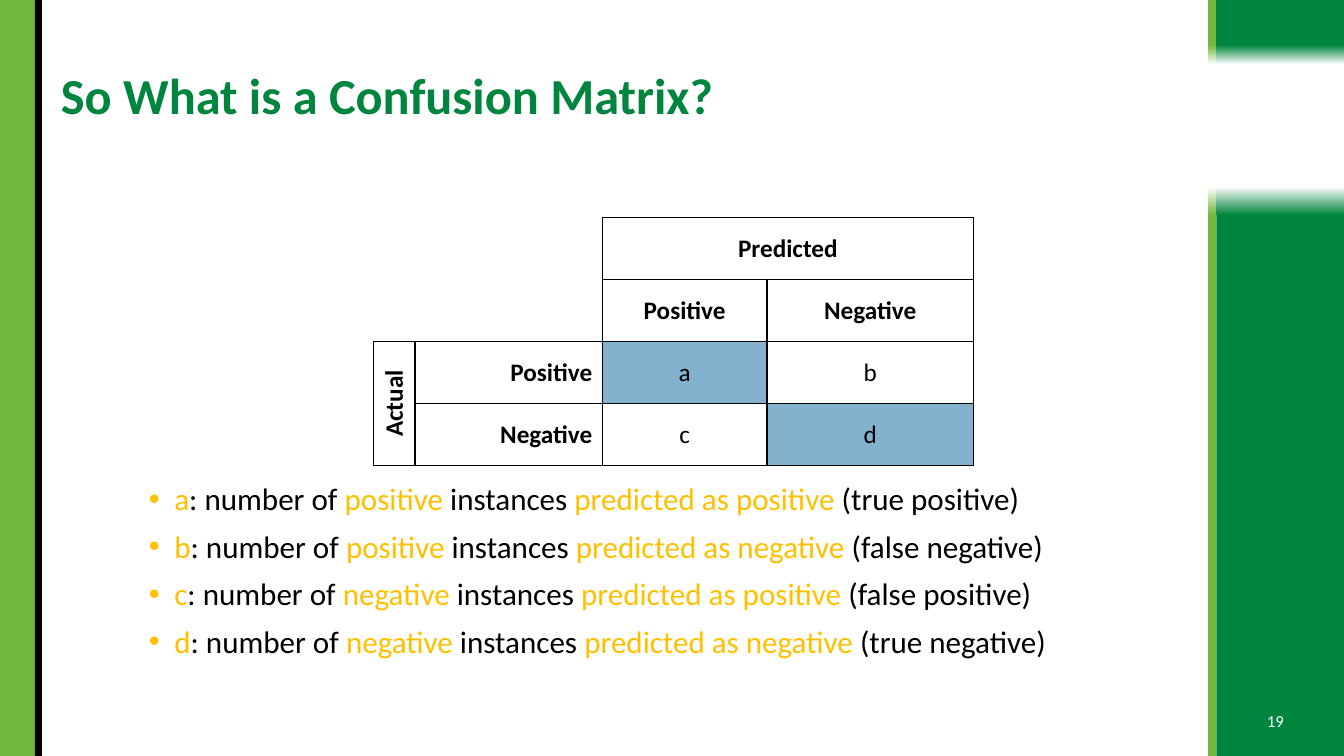
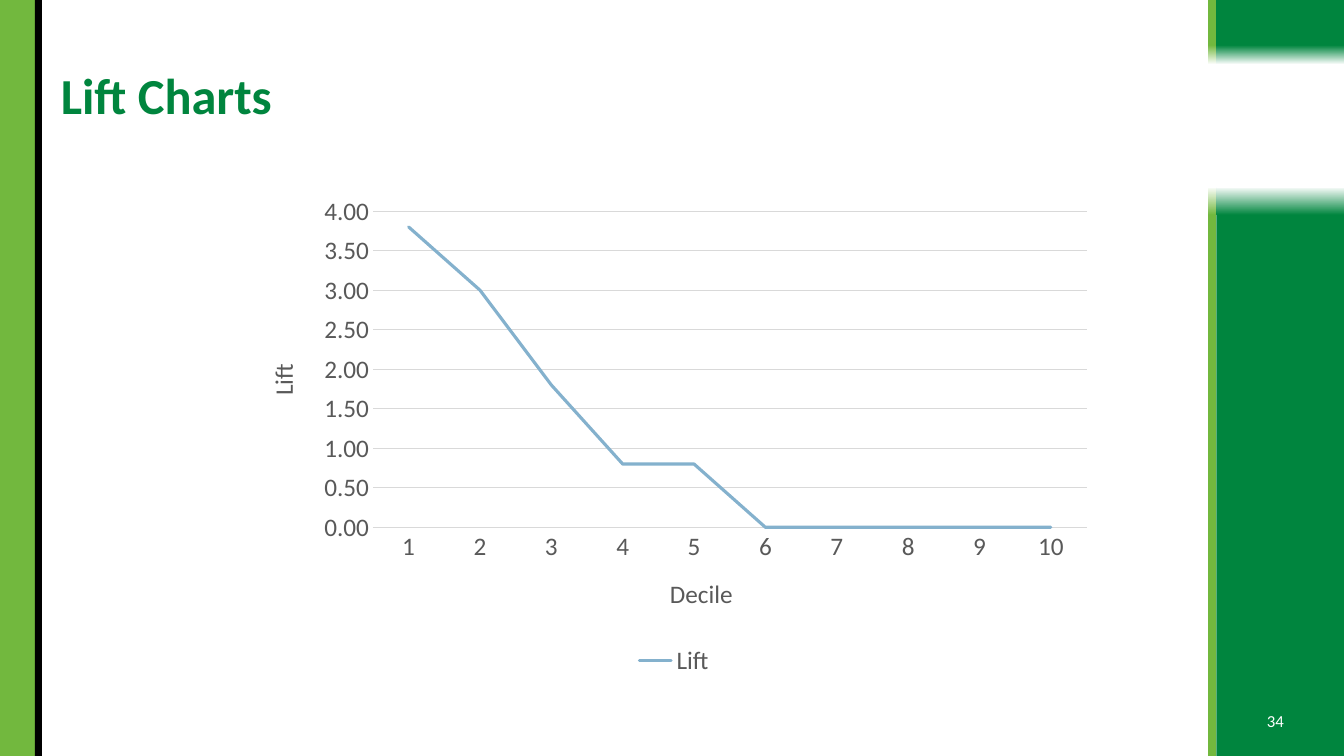
import pptx
import pptx.chart.data
import pptx.dml.color
import pptx.enum.chart
import pptx.enum.shapes
import pptx.enum.text
import pptx.oxml
import pptx.oxml.ns
import pptx.util
from pptx.util import Cm, Pt

COLORS = {
    "green": "00853E",
    "lime": "72B83E",
    "black": "000000",
    "white": "FFFFFF",
    "gold": "FFC000",
    "blue": "84B1CD",
    "grey": "595959",
    "grid": "D9D9D9",
}
FONT = "Calibri"
WIDTH, HEIGHT = 33.87, 19.05
ALIGN = pptx.enum.text.PP_ALIGN
MIDDLE = pptx.enum.text.MSO_ANCHOR.MIDDLE
TITLE_AND_CONTENT, TITLE_ONLY = 1, 5


def rgb(color):
    return pptx.dml.color.RGBColor.from_string(COLORS[color])


def assign(target, values):
    for attribute, value in values.items():
        setattr(target, attribute, value)


def style_font(font, size, color, bold=False):
    assign(font, {"name": FONT, "size": Pt(size), "bold": bold})
    font.color.rgb = rgb(color)


def move(shape, left, top, width, height):
    assign(shape, {"left": Cm(left), "top": Cm(top),
                   "width": Cm(width), "height": Cm(height)})


def set_border(cell, side, visible):
    """Draw or hide one side (L, R, T or B) of a table cell."""
    paint = (f'<a:solidFill><a:srgbClr val="{COLORS["black"]}"/></a:solidFill>'
             if visible else "<a:noFill/>")
    cell._tc.get_or_add_tcPr().append(pptx.oxml.parse_xml(
        f'<a:ln{side} {pptx.oxml.ns.nsdecls("a")} w="{Pt(1)}">{paint}</a:ln{side}>'))


def set_layout(element, index, target="", **fractions):
    """Place a chart part by fractions of the chart's size."""
    for previous in element.findall(pptx.oxml.ns.qn("c:layout")):
        element.remove(previous)
    inner = f'<c:layoutTarget val="{target}"/>' if target else ""
    modes = "".join(f'<c:{key}Mode val="edge"/>' for key in "xy")
    sizes = "".join(f'<c:{key} val="{value}"/>' for key, value in fractions.items())
    element.insert(index, pptx.oxml.parse_xml(
        f'<c:layout {pptx.oxml.ns.nsdecls("c")}><c:manualLayout>'
        f'{inner}{modes}{sizes}</c:manualLayout></c:layout>'))


class Deck:
    def __init__(self):
        self.presentation = pptx.Presentation()
        assign(self.presentation, {"slide_width": Cm(WIDTH), "slide_height": Cm(HEIGHT)})
        self.slide = None

    def new_slide(self, layout, title, number):
        layouts = self.presentation.slide_layouts
        self.slide = self.presentation.slides.add_slide(layouts[layout])
        self.bands()
        self.title(title)
        self.page_number(number)

    def band(self, left, top, width, height, color, solid_until=None, rotation=0):
        """Draw a plain band, or one fading to white after solid_until."""
        band = self.slide.shapes.add_shape(
            pptx.enum.shapes.MSO_SHAPE.RECTANGLE,
            Cm(left), Cm(top), Cm(width), Cm(height))
        band.shadow.inherit = False
        band.line.fill.background()
        band.rotation = rotation
        if solid_until is None:
            band.fill.solid()
            band.fill.fore_color.rgb = rgb(color)
            return
        band.fill.gradient()
        band.fill.gradient_angle = 270
        stops = ((solid_until, color), (1, "white"))
        for stop, (position, stop_color) in zip(band.fill.gradient_stops, stops):
            stop.position = position
            stop.color.rgb = rgb(stop_color)

    def bands(self):
        for left, width, color in ((30.65, 3.22, "green"), (30.44, 0.21, "lime")):
            self.band(left, 0, width, 1.63, color, 0.7)
            self.band(left, 4.7, width, HEIGHT - 4.7, color, 0.95, 180)
        self.band(0, 0, 0.88, HEIGHT, "lime")
        self.band(0.88, 0, 0.18, HEIGHT, "black")

    def title(self, text):
        title = self.slide.shapes.title
        move(title, 1.28, 1, 28.96, 2.95)
        title.text_frame.vertical_anchor = MIDDLE
        heading = title.text_frame.paragraphs[0]
        heading.text = text
        assign(heading, {"alignment": ALIGN.LEFT, "line_spacing": 0.9})
        style_font(heading.runs[0].font, 36, "green", True)

    def page_number(self, number):
        footer = self.slide.shapes.add_textbox(Cm(31.48), Cm(17.65), Cm(1.32), Cm(1.02))
        assign(footer.text_frame, {"word_wrap": True, "vertical_anchor": MIDDLE})
        line = footer.text_frame.paragraphs[0]
        line.text = str(number)
        line.alignment = ALIGN.CENTER
        style_font(line.runs[0].font, 12, "white")

    def bullets(self, items, left, top, width, height):
        """Fill the body with items whose parts alternate gold and black."""
        body = self.slide.placeholders[1]
        move(body, left, top, width, height)
        frame = body.text_frame
        frame.auto_size = pptx.enum.text.MSO_AUTO_SIZE.NONE
        for index, parts in enumerate(items):
            item = frame.add_paragraph() if index else frame.paragraphs[0]
            properties = item._p.get_or_add_pPr()
            properties.set("marL", str(Cm(0.64)))
            properties.set("indent", str(Cm(-0.64)))
            assign(item, {"line_spacing": 0.9, "space_before": Pt(10 if index else 0)})
            for position, part in enumerate(parts):
                run = item.add_run()
                run.text = part
                style_font(run.font, 22.2, "black" if position % 2 else "gold")

    def confusion_matrix(self, rows, left, top, widths, row_height):
        matrix = self.slide.shapes.add_table(
            len(rows), len(widths), Cm(left), Cm(top),
            Cm(sum(widths)), Cm(row_height * len(rows))).table
        assign(matrix, {"first_row": False, "horz_banding": False})
        for column, width in zip(matrix.columns, widths):
            column.width = Cm(width)
        for r, texts in enumerate(rows):
            matrix.rows[r].height = Cm(row_height)
            for c, text in enumerate(texts):
                self.matrix_cell(matrix.cell(r, c), r, c, text)
        matrix.cell(0, 2).merge(matrix.cell(0, 3))
        matrix.cell(2, 0).merge(matrix.cell(3, 0))
        matrix.cell(2, 0)._tc.get_or_add_tcPr().set("vert", "vert270")

    def matrix_cell(self, cell, r, c, text):
        in_corner, is_count = r < 2 and c < 2, r >= 2 and c >= 2
        shown = {"L": not in_corner, "R": not in_corner or c == 1,
                 "T": not in_corner, "B": not in_corner or r == 1}
        for side, visible in shown.items():
            set_border(cell, side, visible)
        if is_count and r == c:
            cell.fill.solid()
            cell.fill.fore_color.rgb = rgb("blue")
        else:
            cell.fill.background()
        cell.vertical_anchor = MIDDLE
        label = cell.text_frame.paragraphs[0]
        label.alignment = ALIGN.RIGHT if c == 1 else ALIGN.CENTER
        if text:
            label.text = text
            style_font(label.runs[0].font, 18, "black", not is_count)

    def axis_title(self, axis, text, x, y, rotation=0):
        frame = axis.axis_title.text_frame
        frame.text = text
        style_font(frame.paragraphs[0].runs[0].font, 18, "grey")
        frame._txBody.bodyPr.set("rot", str(rotation * 60000))
        set_layout(axis.axis_title._element, 1, x=x, y=y)

    def lift_chart(self, name, values, left, top, width, height):
        enums = pptx.enum.chart
        data = pptx.chart.data.CategoryChartData(number_format="0.00")
        data.categories = [str(decile) for decile in range(1, len(values) + 1)]
        data.add_series(name, values)
        chart = self.slide.shapes.add_chart(
            enums.XL_CHART_TYPE.LINE, Cm(left), Cm(top), Cm(width), Cm(height), data).chart
        assign(chart, {"has_title": False, "has_legend": True})
        style_font(chart.font, 18, "black")
        assign(chart.legend, {"position": enums.XL_LEGEND_POSITION.BOTTOM,
                              "include_in_layout": False})
        style_font(chart.legend.font, 18, "grey")

        deciles, lifts = chart.category_axis, chart.value_axis
        for axis in (deciles, lifts):
            assign(axis, {"major_tick_mark": enums.XL_TICK_MARK.NONE,
                          "minor_tick_mark": enums.XL_TICK_MARK.NONE})
            style_font(axis.tick_labels.font, 18, "grey")
        assign(lifts, {"minimum_scale": 0, "maximum_scale": 4, "major_unit": 0.5})
        assign(lifts.tick_labels, {"number_format": "#,##0.00",
                                   "number_format_is_linked": False})
        lifts.format.line.fill.background()
        for line in (deciles.format.line, lifts.major_gridlines.format.line):
            line.width = Pt(0.75)
            line.color.rgb = rgb("grid")
        self.axis_title(deciles, "Decile", 0.49, 0.78)
        self.axis_title(lifts, "Lift", 0.02, 0.35, -90)

        plot = chart.plots[0]
        plot.vary_by_categories = False
        series = plot.series[0]
        series.smooth = False
        series.marker.style = enums.XL_MARKER_STYLE.NONE
        series.format.line.width = Pt(2.25)
        series.format.line.color.rgb = rgb("blue")
        for outline in series._element.iter(pptx.oxml.ns.qn("a:ln")):
            outline.set("cap", "rnd")
        plot_area = chart._chartSpace.chart.plotArea
        set_layout(plot_area, 0, "inner", x=0.15, y=0.05, w=0.83, h=0.64)


def main():
    deck = Deck()

    deck.new_slide(TITLE_AND_CONTENT, "So What is a Confusion Matrix?", 19)
    outcomes = [
        ("a", "positive", "positive", "true positive"),
        ("b", "positive", "negative", "false negative"),
        ("c", "negative", "positive", "false positive"),
        ("d", "negative", "negative", "true negative"),
    ]
    deck.bullets(
        [(letter, ": number of ", f"{actual} ", "instances ",
          f"predicted as {predicted} ", f"({outcome})")
         for letter, actual, predicted, outcome in outcomes],
        3.5, 12.06, 23.88, 5.1)
    deck.confusion_matrix(
        [("", "", "Predicted", ""),
         ("", "", "Positive", "Negative"),
         ("Actual", "Positive", "a", "b"),
         ("", "Negative", "c", "d")],
        9.42, 5.49, (1.04, 4.72, 4.15, 5.2), 1.56)

    deck.new_slide(TITLE_ONLY, "Lift Charts", 34)
    deck.lift_chart("Lift", (3.8, 3, 1.8, 0.8, 0.8, 0, 0, 0, 0, 0),
                    6.15, 4.7, 21.67, 12.45)

    deck.presentation.save("out.pptx")


if __name__ == "__main__":
    main()
